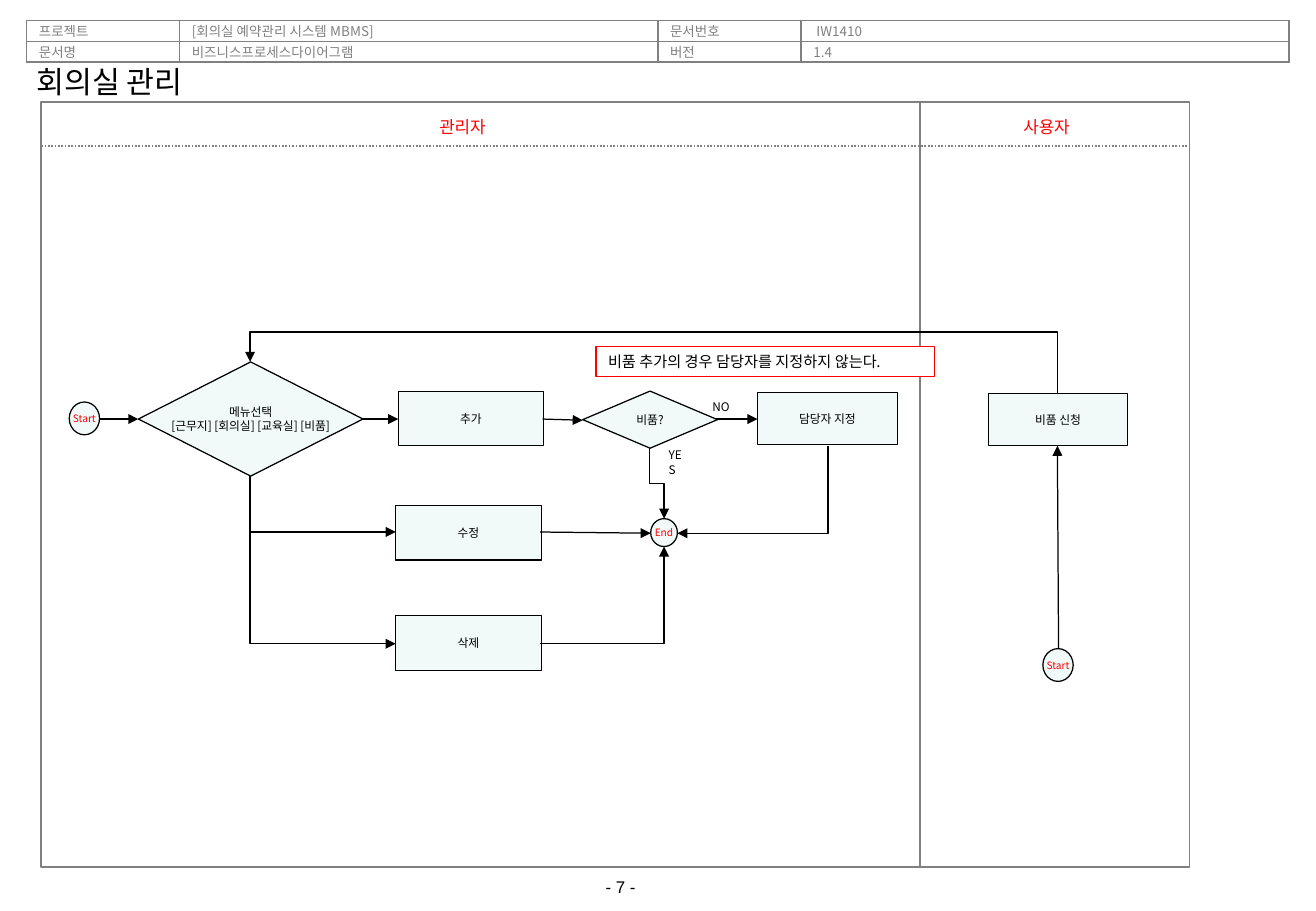
import dataclasses
import typing

import lxml.etree
import pptx
import pptx.dml.color
import pptx.enum.dml
import pptx.enum.shapes
import pptx.enum.text
import pptx.oxml.ns
import pptx.util

EMU_PER_PX = 9144
ALIGN = pptx.enum.text.PP_ALIGN
ANCHOR = pptx.enum.text.MSO_ANCHOR
SHAPE = pptx.enum.shapes.MSO_SHAPE
CONNECTOR = pptx.enum.shapes.MSO_CONNECTOR
qn = pptx.oxml.ns.qn
Point = tuple[int, int]
Box = tuple[int, int, int, int]


@dataclasses.dataclass(frozen=True)
class Theme:
    font: str = "Noto Sans CJK KR"
    number_font: str = "Arial"
    ink: str = "000000"
    accent: str = "FF0000"
    rule: str = "808080"
    node: str = "F1F9F9"
    paper: str = "FFFFFF"
    title_size: int = 18
    lane_size: int = 10
    note_size: int = 9
    header_size: int = 8
    node_size: int = 7
    terminal_size: int = 6
    rule_width: float = 1
    flow_width: float = 0.75


THEME = Theme()


@dataclasses.dataclass(frozen=True)
class Node:
    text: str
    kind: SHAPE
    box: Box
    size: int = THEME.node_size
    color: str = THEME.ink


@dataclasses.dataclass(frozen=True)
class Elbow:
    """Right-angled arrow with one corner, or two if bend is given."""
    start: Point
    end: Point
    upright: bool = True
    bend: typing.Optional[float] = None


@dataclasses.dataclass(frozen=True)
class Label:
    text: str
    box: Box
    style: dict


HEADER_COLUMNS = (126, 394, 118, 402)
HEADER_ROWS = (
    ("프로젝트", "[회의실 예약관리 시스템 MBMS]", "문서번호", " IW1410"),
    ("문서명", "비즈니스프로세스다이어그램", "버전", "1.4"),
)

LANE_STYLE = dict(size=THEME.lane_size, color=THEME.accent, align=ALIGN.CENTER, inset=(13, 7))
LABELS = (
    Label("관리자", (276, 89, 210, 30), LANE_STYLE),
    Label("사용자", (746, 89, 232, 30), LANE_STYLE),
    Label("NO", (577, 324, 35, 22), dict(size=THEME.node_size, wrap=False)),
    Label("YES", (541, 364, 36, 22), dict(size=THEME.node_size)),
    Label("- 7 -", (489, 717, 100, 27), dict(size=THEME.lane_size, font=THEME.number_font)),
)

PROCESS, DECISION = SHAPE.FLOWCHART_PROCESS, SHAPE.FLOWCHART_DECISION
TERMINAL = dict(kind=SHAPE.OVAL, size=THEME.terminal_size, color=THEME.accent)
NODES = (
    Node("Start", box=(57, 331, 25, 27), **TERMINAL),
    Node("메뉴선택\n[근무지] [회의실] [교육실] [비품]", DECISION, (114, 298, 185, 94)),
    Node("추가", PROCESS, (328, 322, 120, 45)),
    Node("수정", PROCESS, (326, 416, 120, 45)),
    Node("삭제", PROCESS, (326, 507, 120, 45)),
    Node("비품?", DECISION, (480, 322, 111, 47)),
    Node("담당자 지정", PROCESS, (624, 323, 115, 43)),
    Node("End", box=(536, 427, 22, 23), **TERMINAL),
    Node("비품 신청", PROCESS, (814, 324, 115, 43)),
    Node("Start", box=(859, 534, 25, 27), **TERMINAL),
)

ARROWS = (
    ((82, 345), (114, 345)),
    ((299, 345), (328, 345)),
    ((447, 345), (480, 346)),
    ((590, 345), (624, 345)),
    ((445, 438), (536, 439)),
    ((872, 534), (871, 367)),
)
ELBOWS = (
    Elbow((206, 392), (326, 438)),
    Elbow((206, 392), (326, 530)),
    Elbow((535, 369), (547, 427), bend=0.5),
    Elbow((445, 530), (547, 450), upright=False),
    Elbow((682, 367), (558, 439)),
    Elbow((871, 324), (206, 298), bend=1.95),
)


def px(length: float) -> pptx.util.Emu:
    return pptx.util.Emu(round(length * EMU_PER_PX))


def rgb(color: str) -> pptx.dml.color.RGBColor:
    return pptx.dml.color.RGBColor.from_string(color)


def write(frame, text: str, *, size: int, color: str = THEME.ink, font: str = THEME.font,
          align=ALIGN.LEFT, anchor=ANCHOR.TOP, inset: Point = (10, 5), wrap: bool = True) -> None:
    frame.text = text
    frame.word_wrap = wrap
    frame.auto_size = pptx.enum.text.MSO_AUTO_SIZE.NONE
    frame.vertical_anchor = anchor
    frame.margin_left = frame.margin_right = px(inset[0])
    frame.margin_top = frame.margin_bottom = px(inset[1])
    for paragraph in frame.paragraphs:
        paragraph.alignment = align
        paragraph.space_before = pptx.util.Pt(0)
        for run in paragraph.runs:
            run.font.size = pptx.util.Pt(size)
            run.font.color.rgb = rgb(color)
            run.font.name = font
            properties = run._r.get_or_add_rPr()
            lxml.etree.SubElement(properties, qn("a:ea"), typeface=font)


def set_line(line, color: str, width: float) -> None:
    line.color.rgb = rgb(color)
    line.width = pptx.util.Pt(width)


def add_box(shapes, kind: SHAPE, box: Box, fill: typing.Optional[str], color: str, width: float):
    shape = shapes.add_shape(kind, *map(px, box))
    shape.shadow.inherit = False
    if fill:
        shape.fill.solid()
        shape.fill.fore_color.rgb = rgb(fill)
    else:
        shape.fill.background()
    set_line(shape.line, color, width)
    return shape


def add_link(shapes, kind: CONNECTOR, start, end, color: str = THEME.ink,
             width: float = THEME.flow_width, arrow: bool = True):
    link = shapes.add_connector(kind, *map(px, (*start, *end)))
    set_line(link.line, color, width)
    if arrow:
        lxml.etree.SubElement(link.line._get_or_add_ln(), qn("a:tailEnd"), type="triangle")
    lxml.etree.SubElement(link._element.spPr, qn("a:effectLst"))
    return link


def add_elbow(shapes, elbow: Elbow) -> None:
    """Draw the elbow, turning the preset a quarter when it leaves vertically."""
    (x1, y1), (x2, y2) = start, end = elbow.start, elbow.end
    right, down = x2 > x1, y2 > y1
    if elbow.upright:
        middle_x, middle_y = (x1 + x2) / 2, (y1 + y2) / 2
        half_width = abs(y2 - y1) / 2 * (-1 if down and right else 1)
        half_height = abs(x2 - x1) / 2 * (-1 if not down and not right else 1)
        start = middle_x - half_width, middle_y - half_height
        end = middle_x + half_width, middle_y + half_height
    link = add_link(shapes, CONNECTOR.ELBOW, start, end)
    properties = link._element.spPr
    if elbow.upright:
        link_turn = 90 if down and not right else 270
        properties.find(qn("a:xfrm")).set("rot", str(link_turn * 60000))
    geometry = properties.find(qn("a:prstGeom"))
    if elbow.bend is None:
        geometry.set("prst", "bentConnector2")
    else:
        adjustments = geometry.find(qn("a:avLst"))
        lxml.etree.SubElement(adjustments, qn("a:gd"), name="adj1",
                              fmla=f"val {round(elbow.bend * 100000)}")


def add_header(shapes) -> None:
    header = shapes.add_table(2, 4, px(22), px(17), px(sum(HEADER_COLUMNS)), px(34)).table
    header.first_row = header.horz_banding = False
    for column, width in zip(header.columns, HEADER_COLUMNS):
        column.width = px(width)
    for row, texts in zip(header.rows, HEADER_ROWS):
        row.height = px(17)
        for cell, text in zip(row.cells, texts):
            write_header_cell(cell, text)


def write_header_cell(cell, text: str) -> None:
    write(cell.text_frame, text, size=THEME.header_size, color=THEME.rule)
    cell.vertical_anchor = ANCHOR.MIDDLE
    cell.margin_left = cell.margin_right = px(10)
    cell.margin_top = cell.margin_bottom = 0
    cell.fill.solid()
    cell.fill.fore_color.rgb = rgb(THEME.paper)
    properties = cell._tc.get_or_add_tcPr()
    body = cell._tc.txBody.find(qn("a:bodyPr"))
    body.attrib.clear()
    for child in list(body):
        body.remove(child)
    for index, side in enumerate(("a:lnL", "a:lnR", "a:lnT", "a:lnB")):
        border = lxml.etree.Element(qn(side), w=str(pptx.util.Pt(THEME.rule_width)))
        fill = lxml.etree.SubElement(border, qn("a:solidFill"))
        lxml.etree.SubElement(fill, qn("a:srgbClr"), val=THEME.rule)
        properties.insert(index, border)


def add_lanes(shapes) -> None:
    add_box(shapes, SHAPE.RECTANGLE, (34, 84, 946, 630), None, THEME.rule, THEME.rule_width)
    rule = dict(color=THEME.rule, width=THEME.rule_width, arrow=False)
    add_link(shapes, CONNECTOR.STRAIGHT, (758, 84), (758, 714), **rule)
    heading_rule = add_link(shapes, CONNECTOR.STRAIGHT, (34, 120), (980, 120), **rule)
    heading_rule.line.dash_style = pptx.enum.dml.MSO_LINE.ROUND_DOT


def main() -> None:
    deck = pptx.Presentation()
    deck.slide_width, deck.slide_height = px(1084), px(750)
    slide = deck.slides.add_slide(deck.slide_layouts[5])
    shapes = slide.shapes
    title = shapes.title
    title.left, title.top, title.width, title.height = map(px, (20, 47, 284, 40))
    write(title.text_frame, "회의실 관리", size=THEME.title_size)
    add_header(shapes)
    add_lanes(shapes)
    note = add_box(shapes, SHAPE.RECTANGLE, (491, 285, 279, 25),
                   THEME.paper, THEME.accent, THEME.flow_width)
    write(note.text_frame, "비품 추가의 경우 담당자를 지정하지 않는다.", size=THEME.note_size)
    for node in NODES:
        step = add_box(shapes, node.kind, node.box, THEME.node, THEME.ink, THEME.flow_width)
        write(step.text_frame, node.text, size=node.size, color=node.color, align=ALIGN.CENTER,
              anchor=ANCHOR.MIDDLE, inset=(7, 4), wrap=False)
    for label in LABELS:
        write(shapes.add_textbox(*map(px, label.box)).text_frame, label.text, **label.style)
    for start, end in ARROWS:
        add_link(shapes, CONNECTOR.STRAIGHT, start, end)
    for elbow in ELBOWS:
        add_elbow(shapes, elbow)
    deck.save("out.pptx")


if __name__ == "__main__":
    main()
